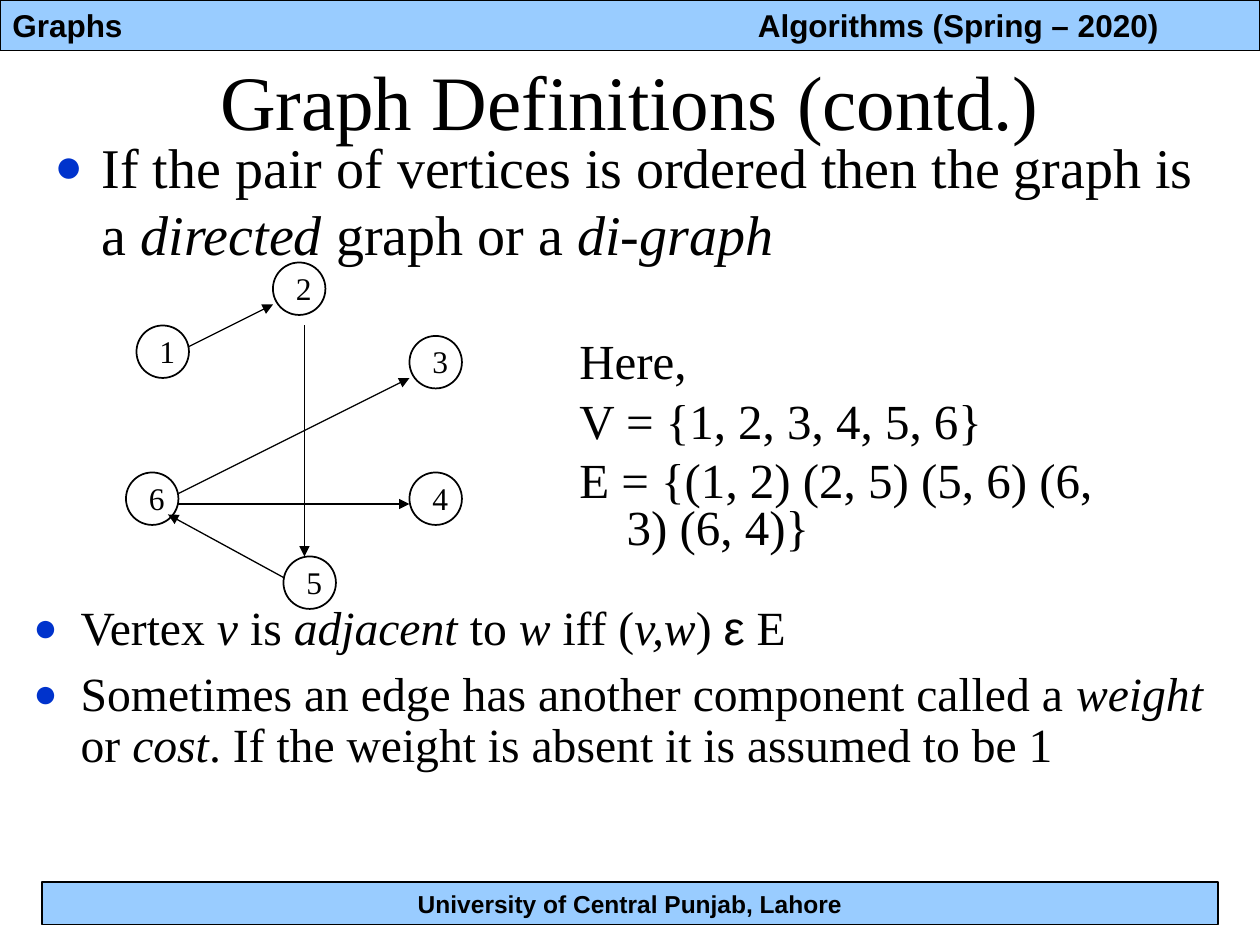
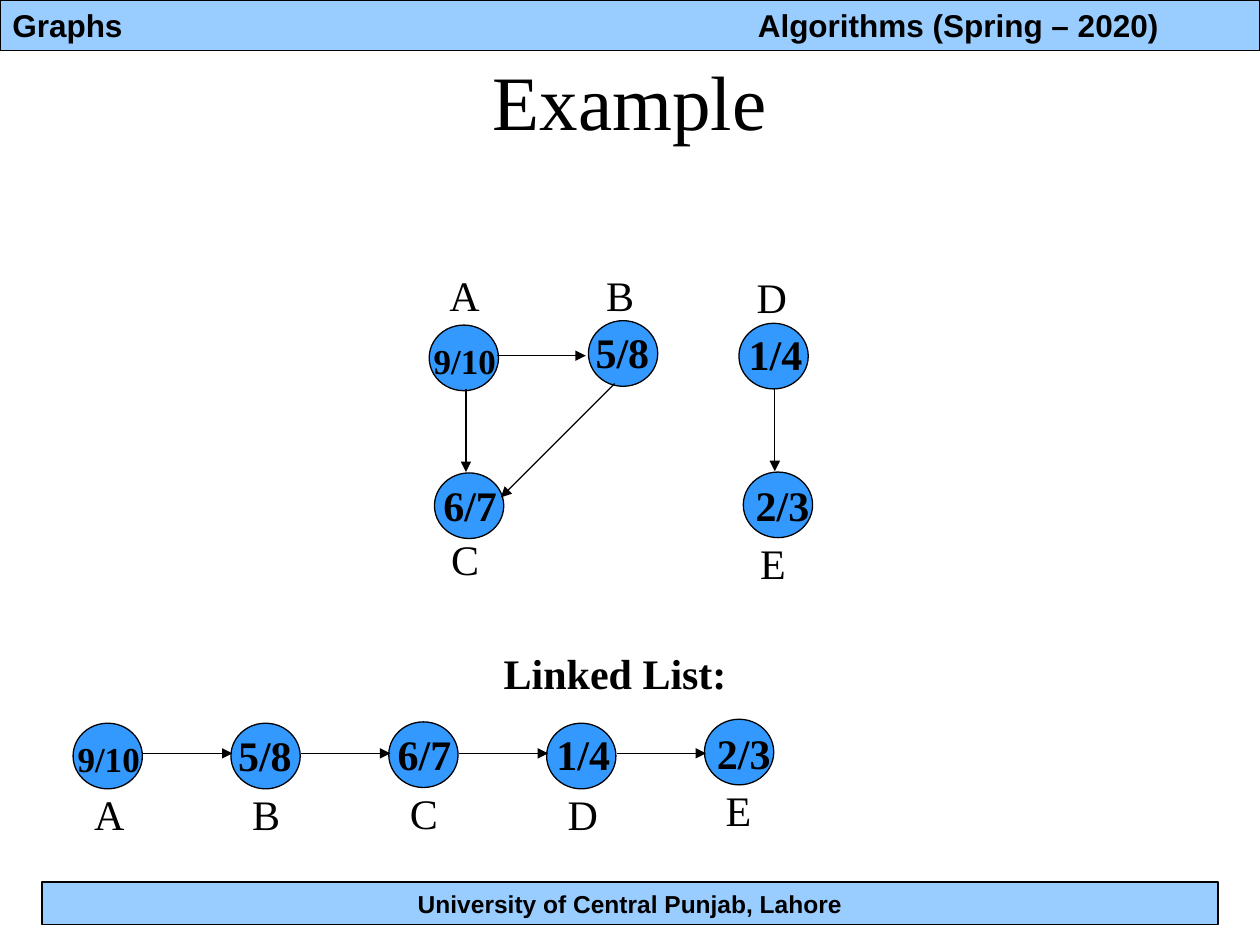
from dataclasses import dataclass

from lxml import etree
from pptx import Presentation
from pptx.dml.color import RGBColor
from pptx.enum import shapes as kinds, text as texts
from pptx.oxml import ns
from pptx.util import Pt


@dataclass(frozen=True)
class Theme:
    band: str = "99CCFF"
    vertex: str = "3399FF"
    bullet: str = "0033CC"
    ink: str = "000000"
    sans: str = "Arial"
    serif: str = "Times New Roman"
    title: float = 44
    body: float = 32
    sets: float = 28
    notes: float = 27.2
    label: float = 24
    long_label: float = 20
    small: float = 18
    footer: float = 14
    thin: float = 0.75


THEME = Theme()
CENTER = texts.PP_ALIGN.CENTER
NODE_SIZE = 30
VERTEX_WIDTH, VERTEX_HEIGHT = 39.6, 37.5
# value, its size, its box width and its offset from the circle
VERTEX_VALUES = {
    "A": ("9/10", THEME.long_label, 50, -4.5, 4.5),
    "B": ("5/8", THEME.label, 46, -3, 0),
    "C": ("6/7", THEME.label, 46, -2, 0),
    "D": ("1/4", THEME.label, 46, -1.5, -0.5),
    "E": ("2/3", THEME.label, 46, 0, 1),
}


def points(*values):
    return [Pt(value) for value in values]


def add_bullet(paragraph):
    properties = paragraph._p.get_or_add_pPr()
    color = etree.SubElement(properties, ns.qn("a:buClr"))
    etree.SubElement(color, ns.qn("a:srgbClr"), val=THEME.bullet)
    etree.SubElement(properties, ns.qn("a:buSzPct"), val="85000")
    etree.SubElement(properties, ns.qn("a:buFont"), typeface=THEME.sans)
    etree.SubElement(properties, ns.qn("a:buChar"), char="●")


def write(frame, lines, size, font=THEME.serif, bold=False, align=None,
          hanging=False, bullets=False, spacing=None, before=0):
    """Fill a frame; "|" separates runs and a leading "_" makes a run italic."""
    for index, line in enumerate(lines):
        paragraph = frame.add_paragraph() if index else frame.paragraphs[0]
        if hanging:
            properties = paragraph._p.get_or_add_pPr()
            properties.set("marL", str(Pt(27)))
            properties.set("indent", str(Pt(-27)))
        if bullets:
            add_bullet(paragraph)
        paragraph.alignment = align
        if spacing:
            paragraph.line_spacing = spacing
        if index:
            paragraph.space_before = Pt(before)
        paragraph.font.size = Pt(size)
        paragraph.font.name = font
        paragraph.font.bold = bold
        paragraph.font.color.rgb = RGBColor.from_string(THEME.ink)
        for piece in line.split("|"):
            run = paragraph.add_run()
            run.text = piece.removeprefix("_")
            if piece.startswith("_"):
                run.font.italic = True
            if piece == "ε":
                run.font.name = THEME.sans


def add_text(shapes, box, lines, size, wrap=True, grow=False,
             anchor=texts.MSO_ANCHOR.TOP, **style):
    frame = shapes.add_textbox(*points(*box)).text_frame
    frame.word_wrap = wrap
    frame.vertical_anchor = anchor
    if grow:
        frame.auto_size = texts.MSO_AUTO_SIZE.SHAPE_TO_FIT_TEXT
    write(frame, lines, size, **style)


def add_label(shapes, left, top, width, label, size=THEME.label, **style):
    add_text(shapes, (left, top, width, size * 1.2 + 7.2), [label], size,
             wrap=False, grow=True, **style)


def add_outlined(shapes, kind, box, fill=None, width=THEME.thin):
    shape = shapes.add_shape(kind, *points(*box))
    shape.shadow.inherit = False
    if fill:
        shape.fill.solid()
        shape.fill.fore_color.rgb = RGBColor.from_string(fill)
    else:
        shape.fill.background()
    shape.line.color.rgb = RGBColor.from_string(THEME.ink)
    shape.line.width = Pt(width)
    return shape


def add_arrow(shapes, start_x, start_y, end_x, end_y):
    arrow = shapes.add_connector(kinds.MSO_CONNECTOR.STRAIGHT,
                                 *points(start_x, start_y, end_x, end_y))
    arrow.line.color.rgb = RGBColor.from_string(THEME.ink)
    arrow.line.width = Pt(THEME.thin)
    etree.SubElement(arrow.line._get_or_add_ln(), ns.qn("a:tailEnd"), type="triangle")
    etree.SubElement(arrow._element.spPr, ns.qn("a:effectLst"))


def add_band(slide, box, label, size, align):
    band = add_outlined(slide.shapes, kinds.MSO_SHAPE.RECTANGLE, box, THEME.band)
    band.text_frame.word_wrap = True
    write(band.text_frame, [label], size, font=THEME.sans, bold=True, align=align)


def add_framed_slide(presentation, title):
    slide = presentation.slides.add_slide(presentation.slide_layouts[6])
    add_band(slide, (0, 0, 720, 28.8), "Graphs", THEME.small, texts.PP_ALIGN.LEFT)
    add_band(slide, (24, 504, 672, 24.25), "University of Central Punjab, Lahore",
             THEME.footer, CENTER)
    add_text(slide.shapes, (426, 0, 288, 28.8), ["Algorithms (Spring – 2020)"],
             THEME.small, font=THEME.sans, bold=True)
    add_text(slide.shapes, (36, 12, 648, 90), [title], THEME.title,
             anchor=texts.MSO_ANCHOR.MIDDLE, align=CENTER)
    return slide


def add_directed_graph(slide, left, top):
    shapes = slide.shapes.add_group_shape().shapes
    nodes = {"1": (6, 36), "2": (84, 0), "5": (90, 168),
             "6": (0, 120), "4": (162, 120), "3": (162, 42)}
    edges = [(36, 48, 84, 24), (102, 36, 102, 168), (30, 132, 162, 66),
             (30, 138, 162, 138), (90, 180, 24, 144)]
    for number, (x, y) in nodes.items():
        add_outlined(shapes, kinds.MSO_SHAPE.OVAL,
                     (left + x, top + y, NODE_SIZE, NODE_SIZE), width=1)
        add_text(shapes, (left + x + 6, top + y, 24, 28.8), [number],
                 THEME.small, grow=True)
    for x1, y1, x2, y2 in edges:
        add_arrow(shapes, left + x1, top + y1, left + x2, top + y2)


def add_vertex(slide, name, left, top, name_x, name_y):
    """Draw a circle with its value, and its name at an offset from it."""
    value, size, width, value_x, value_y = VERTEX_VALUES[name]
    add_outlined(slide.shapes, kinds.MSO_SHAPE.OVAL,
                 (left, top, VERTEX_WIDTH, VERTEX_HEIGHT), THEME.vertex)
    add_label(slide.shapes, left + value_x, top + value_y, width, value, size, bold=True)
    add_label(slide.shapes, left + name_x, top + name_y, 32, name)


def add_timed_graph(slide, left, top):
    vertices = [("A", 0, 36, 4.5, -35.5), ("B", 91, 33.5, 3, -33),
                ("C", 3, 120.5, 2.5, 31), ("D", 177, 35, 3, -33),
                ("E", 179.5, 120, 2.5, 34)]
    edges = [(38.5, 53.5, 89.5, 53.5), (21, 72.5, 21, 120),
             (106, 69.5, 41, 134.5), (197.5, 72, 197.5, 119.5)]
    for name, x, y, name_x, name_y in vertices:
        add_vertex(slide, name, left + x, top + y, name_x, name_y)
    for x1, y1, x2, y2 in edges:
        add_arrow(slide.shapes, left + x1, top + y1, left + x2, top + y2)


def add_linked_list(slide, left, top, pitch=90.2):
    add_label(slide.shapes, left + 239, top, 142, "Linked List:", bold=True)
    drops = [46.75, 46.75, 46, 46.75, 44.5]
    for index, (name, drop) in enumerate(zip(VERTEX_VALUES, drops)):
        add_vertex(slide, name, left + index * pitch, top + drop, 5, 34)
    for index in range(len(drops) - 1):
        start = left + index * pitch + VERTEX_WIDTH + 0.5
        add_arrow(slide.shapes, start, top + 64, start + 51, top + 64)


def build_definitions(presentation):
    slide = add_framed_slide(presentation, "Graph Definitions (contd.)")
    add_text(slide.shapes, (24, 72, 678, 90),
             ["If the pair of vertices is ordered then the graph is a "
              "|_directed| graph or a |_di-graph"],
             THEME.body, hanging=True, bullets=True)
    add_directed_graph(slide, 72, 150)
    add_text(slide.shapes, (324, 192, 330, 138),
             ["Here,", "V = {1, 2, 3, 4, 5, 6}",
              "E = {(1, 2) (2, 5) (5, 6) (6, 3) (6, 4)}"],
             THEME.sets, hanging=True, spacing=0.8, before=7)
    add_text(slide.shapes, (12, 342, 708, 132),
             ["Vertex |_v| is |_adjacent| to |_w| iff (|_v,w|) |ε| E",
              "Sometimes an edge has another component called a |_weight| or |_cost|"
              ". If the weight is absent it is assumed to be 1"],
             THEME.notes, hanging=True, bullets=True, spacing=0.9, before=8)


def build_example(presentation):
    slide = add_framed_slide(presentation, "Example")
    add_timed_graph(slide, 245.25, 149.75)
    add_linked_list(slide, 41.75, 366.5)


def main():
    presentation = Presentation()
    presentation.slide_width, presentation.slide_height = points(720, 540)
    build_definitions(presentation)
    build_example(presentation)
    presentation.save("out.pptx")


if __name__ == "__main__":
    main()
